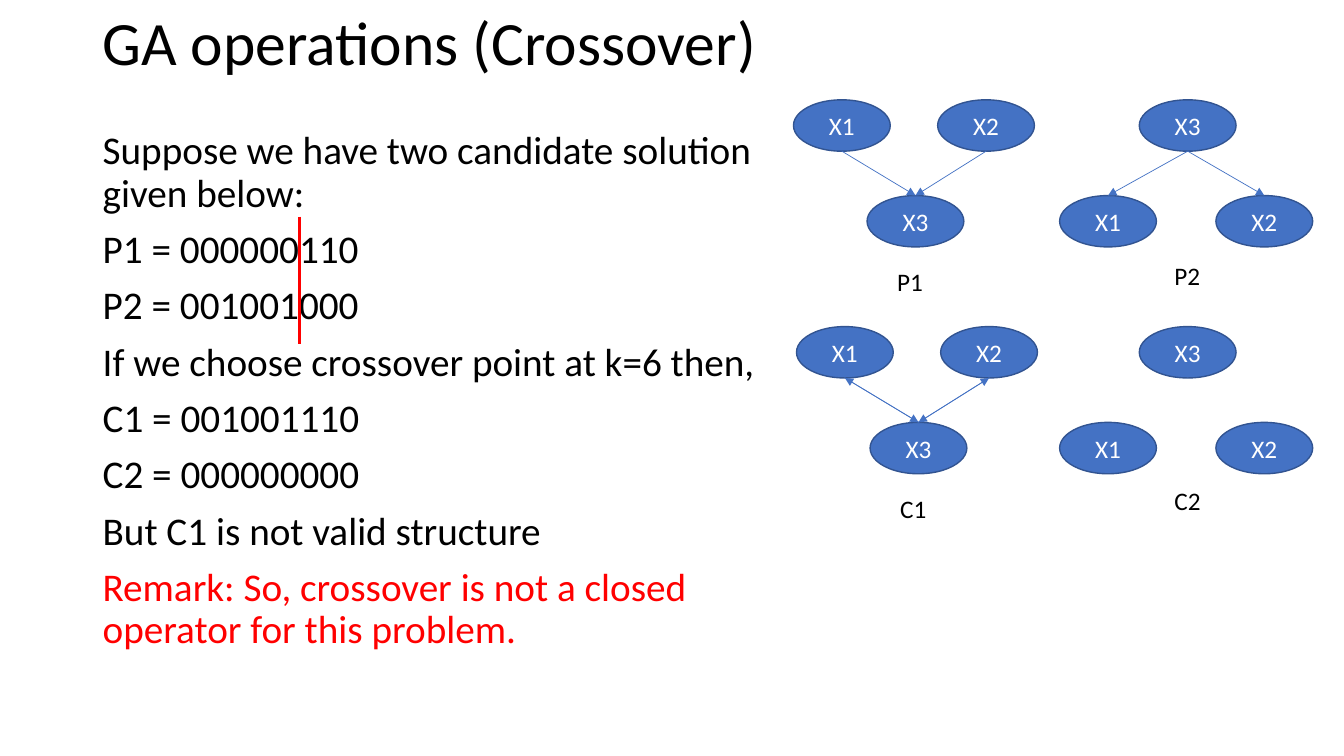
from lxml import etree
from pptx import Presentation
from pptx.dml.color import RGBColor
from pptx.enum.shapes import MSO_CONNECTOR, MSO_SHAPE
from pptx.enum.text import MSO_ANCHOR, PP_ALIGN
from pptx.oxml.ns import qn
from pptx.util import Inches, Pt

COLORS = {"text": "000000", "node": "4472C4", "outline": "325491",
          "node_text": "FFFFFF", "accent": "FF0000"}
NODE_W, NODE_H, ROW_STEP = 0.96, 0.51, 0.95


def write(sp, lines, size, wrap=True, **formats):
    """Fill a shape with (text, colour) paragraphs in one format."""
    tf = sp.text_frame
    tf.word_wrap = wrap
    for i, (text, color) in enumerate(lines):
        p = tf.paragraphs[0] if i == 0 else tf.add_paragraph()
        for name, value in formats.items():
            setattr(p, name, value)
        r = p.add_run()
        r.text = text
        r.font.name, r.font.size = "Calibri", Pt(size)
        r.font.color.rgb = RGBColor.from_string(COLORS[color])
    return tf


def add_line(start, end, color, width, arrow=False):
    """Draw a straight line, with an arrowhead at its end if asked."""
    line = s.shapes.add_connector(MSO_CONNECTOR.STRAIGHT,
                                  *map(Inches, (*start, *end)))
    line.line.color.rgb = RGBColor.from_string(COLORS[color])
    line.line.width = Pt(width)
    if arrow:
        etree.SubElement(line.line._get_or_add_ln(), qn("a:tailEnd"),
                         type="triangle")
    etree.SubElement(line._element.spPr, qn("a:effectLst"))


prs = Presentation()
prs.slide_width, prs.slide_height = Inches(13.33), Inches(7.5)
s = prs.slides.add_slide(prs.slide_layouts[6])

# Title and explanation
title = s.shapes.add_textbox(*map(Inches, (0.92, 0, 11.5, 0.9)))
tf = write(title, [("GA operations (Crossover)", "text")], 44, line_spacing=0.9)
tf.vertical_anchor = MSO_ANCHOR.MIDDLE

body = s.shapes.add_textbox(*map(Inches, (0.92, 1.25, 6.95, 5.53)))
write(body, [
    ("Suppose we have two candidate solution given below:", "text"),
    ("P1 = 000000110", "text"),
    ("P2 = 001001000", "text"),
    ("If we choose crossover point at k=6 then,", "text"),
    ("C1 = 001001110", "text"),
    ("C2 = 000000000", "text"),
    ("But C1 is not valid structure", "text"),
    ("Remark: So, crossover is not a closed operator for this problem.", "accent"),
], 28, line_spacing=0.9, space_before=Pt(10))

# Graphs: nodes as name -> (left, row), edges as (from, to)
joined = {"X1": (7.87, 0), "X2": (9.3, 0), "X3": (8.6, 1)}
split = {"X3": (11.3, 0), "X1": (10.51, 1), "X2": (12.06, 1)}
to_x3 = [("X1", "X3"), ("X2", "X3")]
from_x3 = [("X3", "X1"), ("X3", "X2")]
graphs = [  # label, label position, nodes, shift right, top, edges
    ("P1", (8.8, 2.59), joined, 0, 0.99, to_x3),
    ("P2", (11.55, 2.53), split, 0, 0.99, from_x3),
    ("C1", (8.83, 4.84), joined, 0.03, 3.24, to_x3 + from_x3),
    ("C2", (11.55, 4.77), split, 0, 3.24, []),
]
for label, label_at, nodes, shift, top, edges in graphs:
    ports = {}
    for name, (left, row) in nodes.items():
        x, y = left + shift, top + row * ROW_STEP
        sp = s.shapes.add_shape(MSO_SHAPE.OVAL,
                                *map(Inches, (x, y, NODE_W, NODE_H)))
        sp.shadow.inherit = False
        sp.fill.solid()
        sp.fill.fore_color.rgb = RGBColor.from_string(COLORS["node"])
        sp.line.color.rgb = RGBColor.from_string(COLORS["outline"])
        sp.line.width = Pt(1)
        tf = write(sp, [(name, "node_text")], 18, alignment=PP_ALIGN.CENTER)
        tf.vertical_anchor = MSO_ANCHOR.MIDDLE
        # Upper nodes connect at the bottom, lower nodes at the top
        ports[name] = (x + NODE_W / 2, y if row else y + NODE_H)
    for start, end in edges:
        add_line(ports[start], ports[end], "node", 0.5, arrow=True)
    caption = s.shapes.add_textbox(*map(Inches, (*label_at, 0.46, 0.4)))
    write(caption, [(label, "text")], 18, wrap=False)

# Crossover point
add_line((2.97, 2.15), (2.97, 3.41), "accent", 2)

prs.save("out.pptx")
